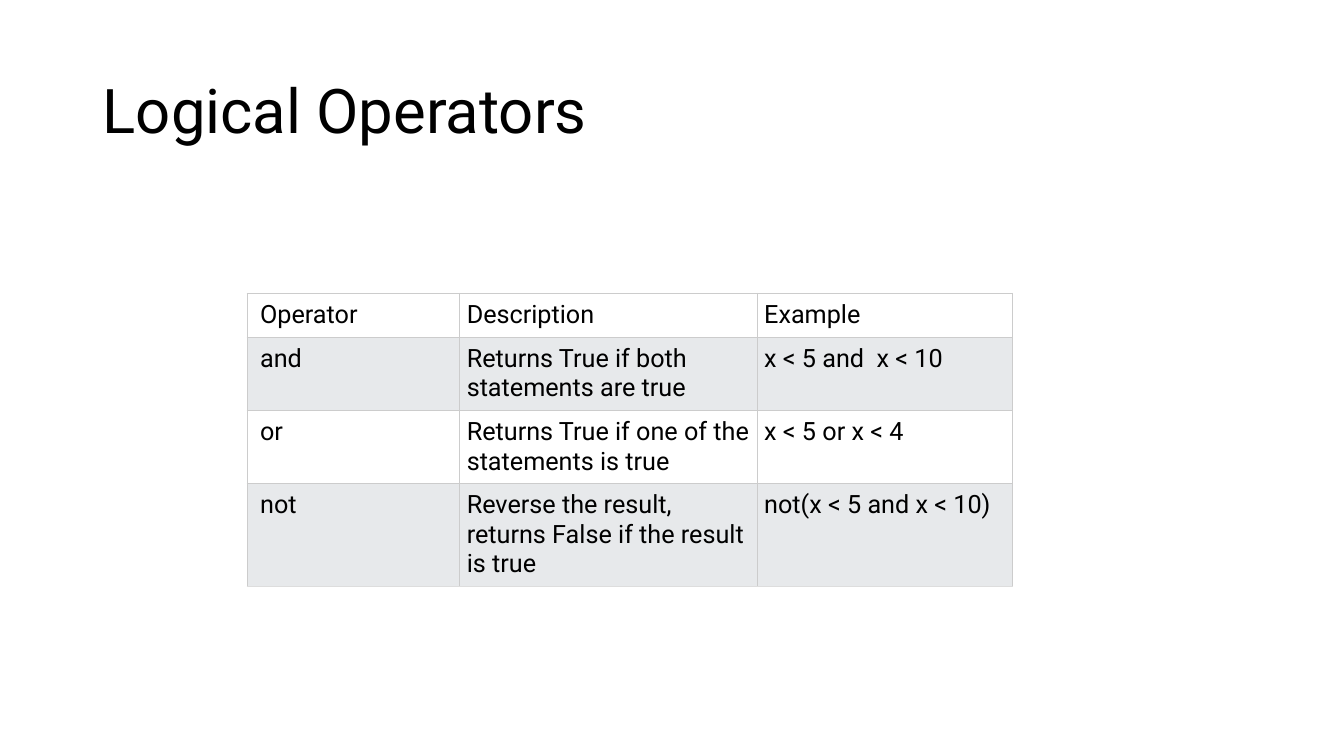
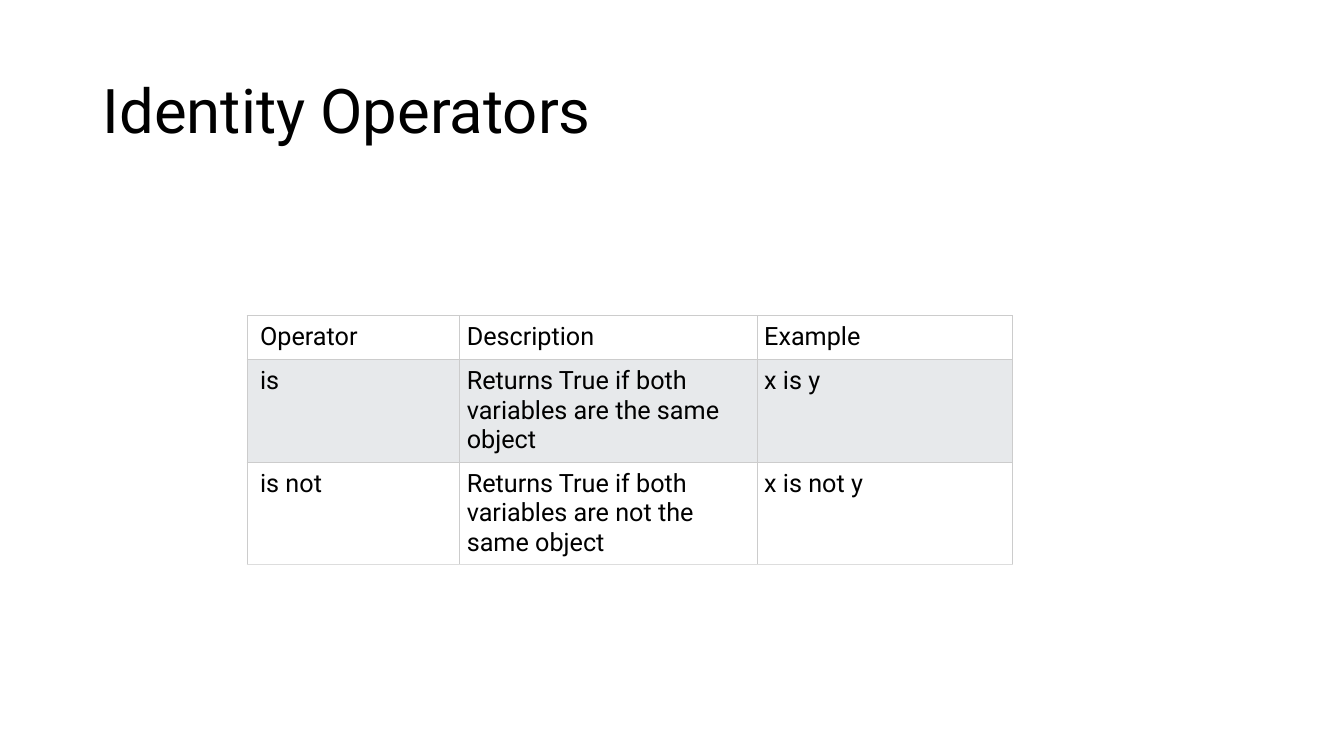
from dataclasses import dataclass

from lxml import etree
from pptx import Presentation
from pptx.dml.color import RGBColor
from pptx.enum.text import MSO_ANCHOR, MSO_AUTO_SIZE, PP_ALIGN
from pptx.oxml.ns import qn
from pptx.util import Inches, Pt

LEFT = PP_ALIGN.LEFT
MIDDLE = MSO_ANCHOR.MIDDLE
TOP = MSO_ANCHOR.TOP
NO_AUTOFIT = MSO_AUTO_SIZE.NONE
TITLE_ONLY = 5


@dataclass(frozen=True)
class Theme:
    font: str = "Roboto"
    title_size: int = 44
    table_size: int = 18
    text: str = "000000"
    plain_row: str = "FFFFFF"
    shaded_row: str = "E7E9EB"
    border: str = "CCCCCC"
    bottom_border: str = "DDDDDD"
    border_width: float = 0.6


THEME = Theme()

# Table geometry, in inches
TABLE_LEFT = 2.45
COLUMN_WIDTHS = (2.11, 2.95, 2.53)
ONE_LINE_ROW = 0.43
EXTRA_LINE = 0.29
CELL_MARGIN = 0.07
FIRST_COLUMN_MARGIN = 0.13

# Each row: number of text lines, then its cells
HEADER = (1, ("Operator", "Description", "Example"))
LOGICAL_ROWS = (
    HEADER,
    (2, ("and", "Returns True if both statements are true", "x < 5 and  x < 10")),
    (2, ("or", "Returns True if one of the statements is true", "x < 5 or x < 4")),
    (3, ("not", "Reverse the result, returns False if the result is true",
         "not(x < 5 and x < 10)")),
)
IDENTITY_ROWS = (
    HEADER,
    (3, ("is", "Returns True if both variables are the same object", "x is y")),
    (3, ("is not", "Returns True if both variables are not the same object",
         "x is not y")),
)


def format_text(paragraph, size):
    paragraph.alignment = LEFT
    for run in paragraph.runs:
        run.font.name = THEME.font
        run.font.size = Pt(size)
        run.font.color.rgb = RGBColor.from_string(THEME.text)


def set_title(slide, text):
    title = slide.shapes.title
    title.left, title.top = Inches(0.92), Inches(0.4)
    title.width, title.height = Inches(11.5), Inches(1.45)
    frame = title.text_frame
    frame.text = text
    frame.word_wrap = True
    frame.auto_size = NO_AUTOFIT
    frame.vertical_anchor = MIDDLE
    paragraph = frame.paragraphs[0]
    paragraph.line_spacing = 0.9
    format_text(paragraph, THEME.title_size)


def set_borders(cell, bottom_color):
    properties = cell._tc.get_or_add_tcPr()
    sides = {"a:lnL": THEME.border, "a:lnR": THEME.border,
             "a:lnT": THEME.border, "a:lnB": bottom_color}
    for side, color in sides.items():
        line = etree.SubElement(properties, qn(side),
                                w=str(int(Pt(THEME.border_width))))
        fill = etree.SubElement(line, qn("a:solidFill"))
        etree.SubElement(fill, qn("a:srgbClr"), val=color)


def format_cell(cell, text, is_first_column, is_shaded, is_last_row):
    cell.text = text
    format_text(cell.text_frame.paragraphs[0], THEME.table_size)
    cell.vertical_anchor = TOP
    cell.margin_left = Inches(FIRST_COLUMN_MARGIN if is_first_column else CELL_MARGIN)
    cell.margin_right = cell.margin_top = cell.margin_bottom = Inches(CELL_MARGIN)
    # Borders must precede the fill in the cell properties
    set_borders(cell, THEME.bottom_border if is_last_row else THEME.border)
    cell.fill.solid()
    cell.fill.fore_color.rgb = RGBColor.from_string(
        THEME.shaded_row if is_shaded else THEME.plain_row)


def add_operator_table(slide, top, rows):
    heights = [ONE_LINE_ROW + EXTRA_LINE * (lines - 1) for lines, _ in rows]
    table = slide.shapes.add_table(
        len(rows), len(COLUMN_WIDTHS), Inches(TABLE_LEFT), Inches(top),
        Inches(sum(COLUMN_WIDTHS)), Inches(sum(heights))).table
    table.first_row = False
    table.horz_banding = False
    for column, width in zip(table.columns, COLUMN_WIDTHS):
        column.width = Inches(width)
    for row_index, (_, texts) in enumerate(rows):
        table.rows[row_index].height = Inches(heights[row_index])
        for column_index, text in enumerate(texts):
            format_cell(table.cell(row_index, column_index), text,
                        is_first_column=column_index == 0,
                        is_shaded=row_index % 2 == 1,
                        is_last_row=row_index == len(rows) - 1)


def add_operator_slide(deck, title, table_top, rows):
    slide = deck.slides.add_slide(deck.slide_layouts[TITLE_ONLY])
    set_title(slide, title)
    add_operator_table(slide, table_top, rows)


def main():
    deck = Presentation()
    deck.slide_width, deck.slide_height = Inches(13.33), Inches(7.5)
    add_operator_slide(deck, "Logical Operators", 2.91, LOGICAL_ROWS)
    add_operator_slide(deck, "Identity Operators", 3.13, IDENTITY_ROWS)
    deck.save("out.pptx")


if __name__ == "__main__":
    main()
